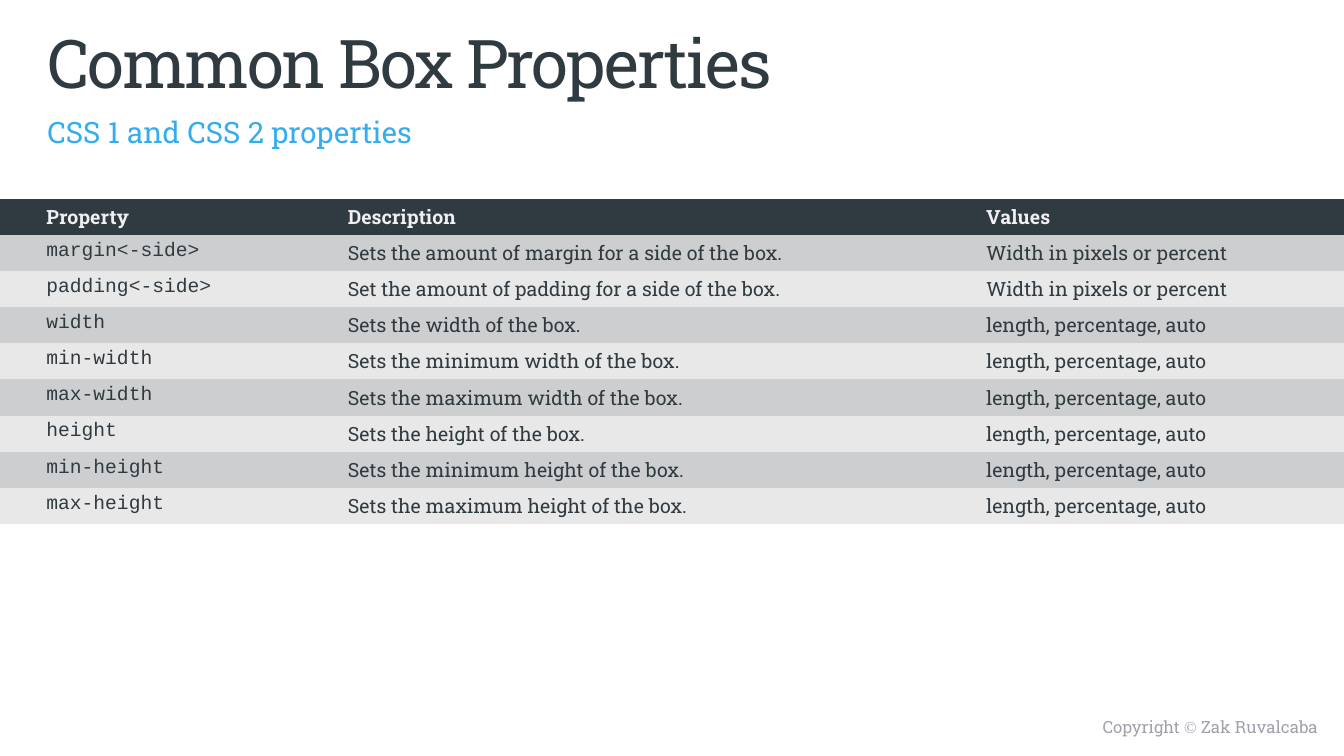
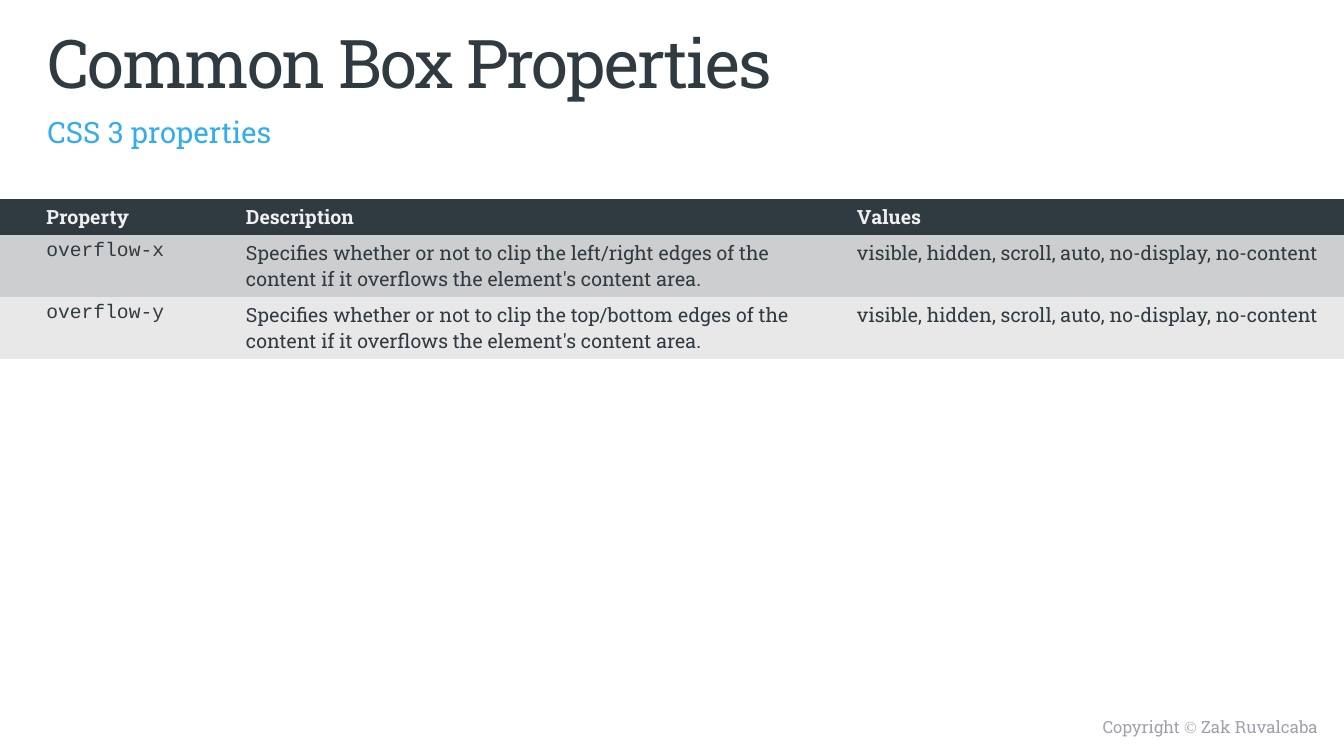
from dataclasses import dataclass

from pptx import Presentation, util as u
from pptx.dml.color import RGBColor
from pptx.enum import text
from pptx.oxml import ns
from lxml import etree


@dataclass(frozen=True)
class Theme:
    """Colours, fonts and type sizes of the deck."""
    dark: str = "303B41"
    accent: str = "34ADEF"
    muted: str = "A1A1AD"
    light: str = "F0F0F2"
    bands: tuple = ("CDCECF", "E8E8E9")
    body_font: str = "Roboto Slab"
    code_font: str = "Courier New"
    symbol_font: str = "Times New Roman"
    title_size: int = 48
    subtitle_size: int = 21
    table_size: int = 14
    footer_size: int = 12


THEME = Theme()
NO_GRID_STYLE = "{2D5ABB26-0587-4C30-8999-92F81FD0307C}"
HEADER = ("Property", "Description", "Values")
TITLE = "Common Box Properties"
SIZES = "length, percentage, auto"
WIDTHS = "Width in pixels or percent"
OVERFLOW = "visible, hidden, scroll, auto, no-display, no-content"
CLIP = ("Specifies whether or not to clip the {} edges of the "
        "content if it overflows the element's content area.")

BASIC_ROWS = [
    ("margin<-side>", "Sets the amount of margin for a side of the box.", WIDTHS),
    ("padding<-side>", "Set the amount of padding for a side of the box.", WIDTHS),
] + [
    (prefix + side, f"Sets the {word}{side} of the box.", SIZES)
    for side in ("width", "height")
    for prefix, word in (("", ""), ("min-", "minimum "), ("max-", "maximum "))
]
OVERFLOW_ROWS = [
    ("overflow-x", CLIP.format("left/right"), OVERFLOW),
    ("overflow-y", CLIP.format("top/bottom"), OVERFLOW),
]


def set_values(obj, values):
    """Set each attribute named in a dict of format values."""
    for name, value in values.items():
        setattr(obj, name, value)


def add_run(p, words, size, color, font=THEME.body_font, bold=False):
    """Add a formatted run to a paragraph."""
    r = p.add_run()
    r.text = words
    set_values(r.font, {"name": font, "size": u.Pt(size), "bold": bold})
    r.font.color.rgb = RGBColor.from_string(color)
    return r


def fill_placeholder(sp, top, height, inset, words, size, color):
    """Place a heading placeholder and write its one line."""
    set_values(sp, {"left": u.Inches(0.37), "top": u.Inches(top),
                    "width": u.Inches(11.76), "height": u.Inches(height)})
    tf = sp.text_frame
    set_values(tf, {"word_wrap": True, "auto_size": text.MSO_AUTO_SIZE.NONE,
                    "vertical_anchor": text.MSO_ANCHOR.TOP,
                    "margin_top": u.Inches(inset), "margin_bottom": 0})
    p = tf.paragraphs[0]
    set_values(p, {"alignment": text.PP_ALIGN.LEFT, "line_spacing": 1.0,
                   "space_before": u.Pt(0)})
    return p, add_run(p, words, size, color)


def add_headings(s, subtitle):
    """Write the title and the subtitle of a slide."""
    p, r = fill_placeholder(s.shapes.title, 0.21, 0.79, 0, TITLE,
                            THEME.title_size, THEME.dark)
    r.font._element.set("spc", "-150")
    p, r = fill_placeholder(s.placeholders[1], 0.99, 0.39, 0.14, subtitle,
                            THEME.subtitle_size, THEME.accent)
    props = p._p.get_or_add_pPr()
    props.set("marL", "0")
    props.set("indent", "0")
    etree.SubElement(props, ns.qn("a:buNone"))


def fill_cell(cell, words, fill, color, font=THEME.body_font, bold=False):
    """Write and colour one table cell."""
    cell.fill.solid()
    cell.fill.fore_color.rgb = RGBColor.from_string(fill)
    cell.vertical_anchor = text.MSO_ANCHOR.MIDDLE if bold else text.MSO_ANCHOR.TOP
    p = cell.text_frame.paragraphs[0]
    add_run(p, words, THEME.table_size, color, font, bold)
    return p


def add_property_table(s, rows, widths, row_height):
    """Add a full-width table of CSS properties with banded rows."""
    header_height = 0.35
    frame = s.shapes.add_table(
        len(rows) + 1, len(HEADER), 0, u.Inches(1.97), u.Inches(sum(widths)),
        u.Inches(header_height + row_height * len(rows)))
    table = frame.table
    table._tbl.tblPr.find(ns.qn("a:tableStyleId")).text = NO_GRID_STYLE
    for column, width in zip(table.columns, widths):
        column.width = u.Inches(width)
    for i, values in enumerate([HEADER] + rows):
        is_header = i == 0
        table.rows[i].height = u.Inches(header_height if is_header else row_height)
        fill = THEME.dark if is_header else THEME.bands[(i - 1) % 2]
        color = THEME.light if is_header else THEME.dark
        for j, words in enumerate(values):
            is_code = j == 0 and not is_header
            font = THEME.code_font if is_code else THEME.body_font
            p = fill_cell(table.cell(i, j), words, fill, color, font, is_header)
            if j == 0:
                p._p.get_or_add_pPr().set("marL", str(u.Inches(0.36)))


def add_layout_footer(layout, s):
    """Put the copyright line on the layout, built with a slide's shapes."""
    sp = s.shapes.add_textbox(u.Inches(6.77), u.Inches(7.06),
                              u.Inches(6.4), u.Inches(0.31))
    sp.text_frame.word_wrap = True
    p = sp.text_frame.paragraphs[0]
    p.alignment = text.PP_ALIGN.RIGHT
    for words, font in (("Copyright ", THEME.body_font),
                        ("© ", THEME.symbol_font),
                        ("Zak Ruvalcaba", THEME.body_font)):
        add_run(p, words, THEME.footer_size, THEME.muted, font)
    layout.shapes._spTree.append(sp._element)


def add_property_slide(prs, layout, subtitle, rows, widths, row_height):
    """Add a slide with headings and a property table."""
    s = prs.slides.add_slide(layout)
    add_headings(s, subtitle)
    add_property_table(s, rows, widths, row_height)
    return s


def main():
    """Build and save the deck."""
    prs = Presentation()
    set_values(prs, {"slide_width": u.Inches(13.33), "slide_height": u.Inches(7.5)})
    layout = prs.slide_layouts[1]
    s = add_property_slide(prs, layout, "CSS 1 and CSS 2 properties",
                           BASIC_ROWS, (3.35, 6.33, 3.66), 0.35)
    add_layout_footer(layout, s)
    add_property_slide(prs, layout, "CSS 3 properties",
                       OVERFLOW_ROWS, (2.34, 6.06, 4.93), 0.6)
    prs.save("out.pptx")


main()
